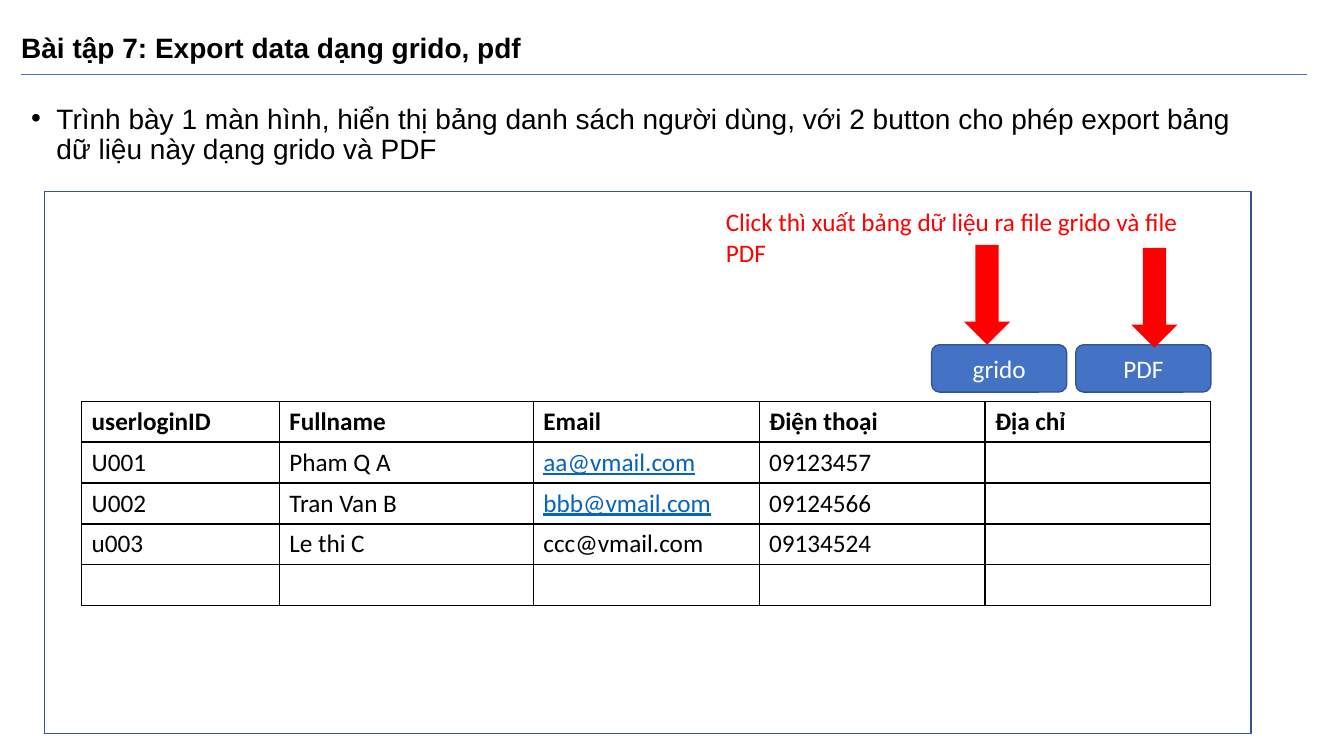
from pptx import Presentation
from pptx.util import Inches, Pt
from pptx.dml.color import RGBColor
from pptx.enum.shapes import MSO_SHAPE as Kind, MSO_CONNECTOR as Link
from pptx.enum.text import PP_ALIGN as Align, MSO_ANCHOR as Anchor, MSO_AUTO_SIZE as Auto
from pptx.oxml import parse_xml
from pptx.oxml.ns import nsdecls, qn
from lxml.etree import SubElement

TITLE = "Bài tập 7: Export data dạng grido, pdf"
TASK = ("Trình bày 1 màn hình, hiển thị bảng danh sách người dùng, "
        "với 2 button cho phép export bảng dữ liệu này dạng grido và PDF")
HINT = "Click thì xuất bảng dữ liệu ra file grido và file PDF"
USERS = [
    ("userloginID", "Fullname", "Email", "Điện thoại", "Địa chỉ"),
    ("U001", "Pham Q A", "aa@vmail.com", "09123457", ""),
    ("U002", "Tran Van B", "bbb@vmail.com", "09124566", ""),
    ("u003", "Le thi C", "ccc@vmail.com", "09134524", ""),
    ("", "", "", "", ""),
]
LINKED = {(1, 2), (2, 2)}
WIDTHS = [1.96, 2.52, 2.24, 2.24, 2.24]
BUTTONS = [("grido", 9.24), ("PDF", 10.67)]
ARROWS = [(9.56, 2.43), (11.22, 2.46)]
BLACK, WHITE, RED = "000000", "FFFFFF", "FF0000"
BLUE, NAVY, LINK = "4472C4", "325491", "0563C1"


def color(code):
    return RGBColor.from_string(code)


def write(frame, text, size=18, face="Calibri", ink=BLACK, bold=False):
    frame.word_wrap = True
    para = frame.paragraphs[0]
    para.text = text
    for run in para.runs:
        font = run.font
        font.size, font.name, font.bold = Pt(size), face, bold
        font.color.rgb = color(ink)
    return para


def place(item, *box):
    item.left, item.top, item.width, item.height = map(Inches, box)


def draw(kind, box, fill=None, edge=None):
    shape = slide.shapes.add_shape(kind, *map(Inches, box))
    shape.shadow.inherit = False
    if fill:
        shape.fill.solid()
        shape.fill.fore_color.rgb = color(fill)
    else:
        shape.fill.background()
    if edge:
        shape.line.color.rgb = color(edge)
        shape.line.width = Pt(1)
    else:
        shape.line.fill.background()
    return shape


def frame_cell(cell):
    props = cell._tc.get_or_add_tcPr()
    for side in "LRTB":
        props.append(parse_xml(
            f'<a:ln{side} {nsdecls("a")} w="12700"><a:solidFill>'
            f'<a:srgbClr val="{BLACK}"/></a:solidFill></a:ln{side}>'))
    cell.fill.background()


deck = Presentation()
deck.slide_width, deck.slide_height = Inches(13.33), Inches(7.5)
slide = deck.slides.add_slide(deck.slide_layouts[1])

title, body = slide.placeholders
place(title, 0.11, 0.23, 12.31, 0.52)
para = write(title.text_frame, TITLE, 20, "Arial", bold=True)
para.alignment, para.line_spacing = Align.LEFT, 0.9
title.text_frame.vertical_anchor = Anchor.MIDDLE
title.text_frame.auto_size = Auto.NONE

place(body, 0.21, 0.99, 12.38, 0.79)
para = write(body.text_frame, TASK, 20, "Arial")
para.line_spacing, para.space_before = 0.9, Pt(10)
body.text_frame.auto_size = Auto.NONE
props = para._p.get_or_add_pPr()
props.set("marL", str(Inches(0.25)))
props.set("indent", str(Inches(-0.25)))
SubElement(props, qn("a:buFont")).set("typeface", "Arial")
SubElement(props, qn("a:buChar")).set("char", "•")

rule = slide.shapes.add_connector(Link.STRAIGHT, *map(Inches, (0.21, 0.74, 12.96, 0.74)))
rule.line.color.rgb = color(BLUE)
rule.line.width = Pt(0.5)
SubElement(rule._element.spPr, qn("a:effectLst"))

draw(Kind.RECTANGLE, (0.44, 1.9, 11.97, 5.38), edge=NAVY)

size = len(USERS), len(WIDTHS)
table = slide.shapes.add_table(*size, *map(Inches, (0.81, 3.98, 11.19, 2.03))).table
table.first_row = table.horz_banding = False
for col, width in zip(table.columns, WIDTHS):
    col.width = Inches(width)
for r, user in enumerate(USERS):
    for c, text in enumerate(user):
        cell = table.cell(r, c)
        linked = (r, c) in LINKED
        para = write(cell.text_frame, text, ink=LINK if linked else BLACK, bold=r == 0)
        if linked:
            para.runs[0].font.underline = True
        frame_cell(cell)

for text, left in BUTTONS:
    button = draw(Kind.ROUNDED_RECTANGLE, (left, 3.42, 1.34, 0.47), BLUE, NAVY)
    write(button.text_frame, text, ink=WHITE).alignment = Align.CENTER
    button.text_frame.vertical_anchor = Anchor.MIDDLE

hint = slide.shapes.add_textbox(*map(Inches, (7.1, 2, 4.91, 0.71)))
write(hint.text_frame, HINT, ink=RED)
hint.text_frame.auto_size = Auto.SHAPE_TO_FIT_TEXT

for left, top in ARROWS:
    draw(Kind.DOWN_ARROW, (left, top, 0.46, 0.99), RED)

deck.save("out.pptx")
